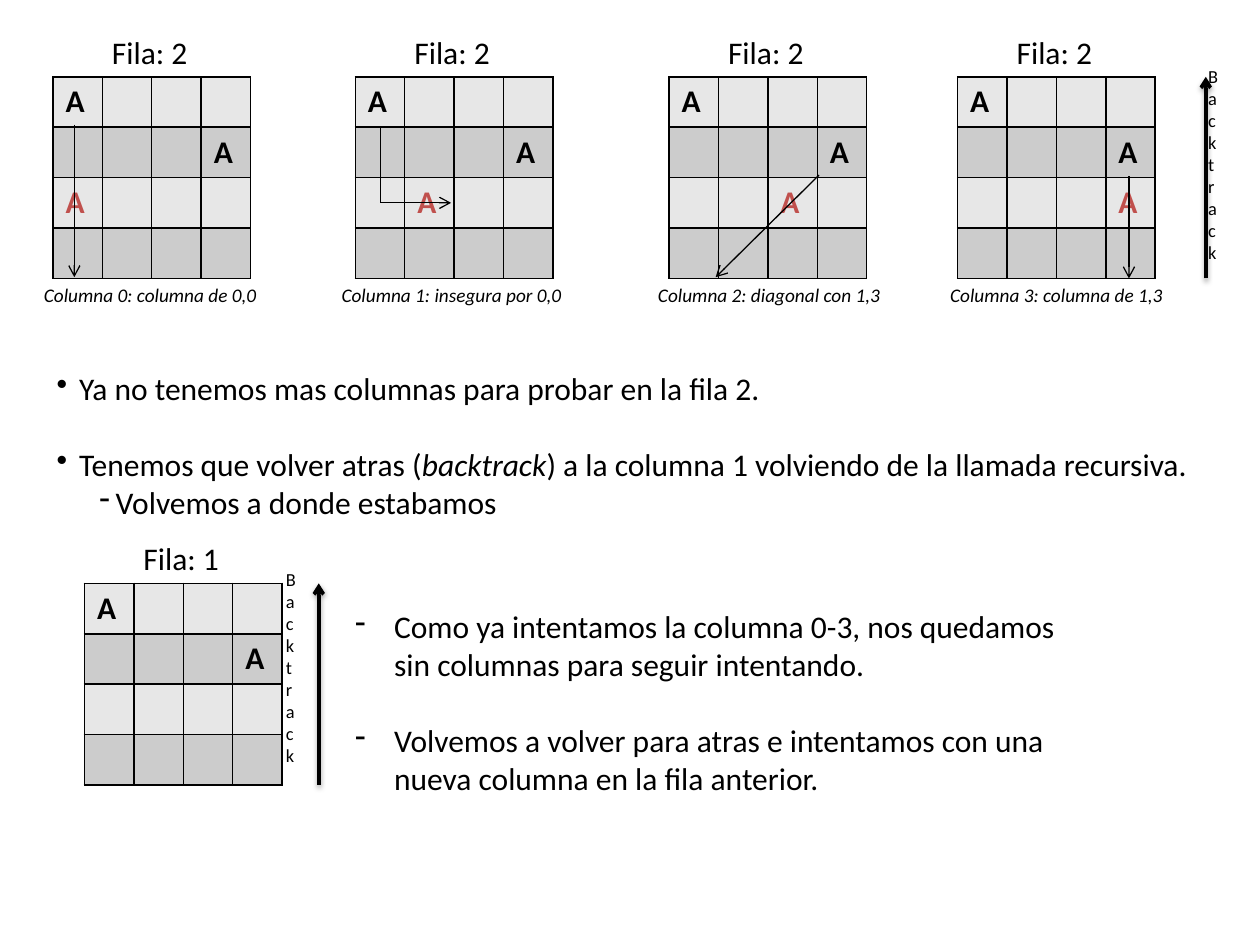
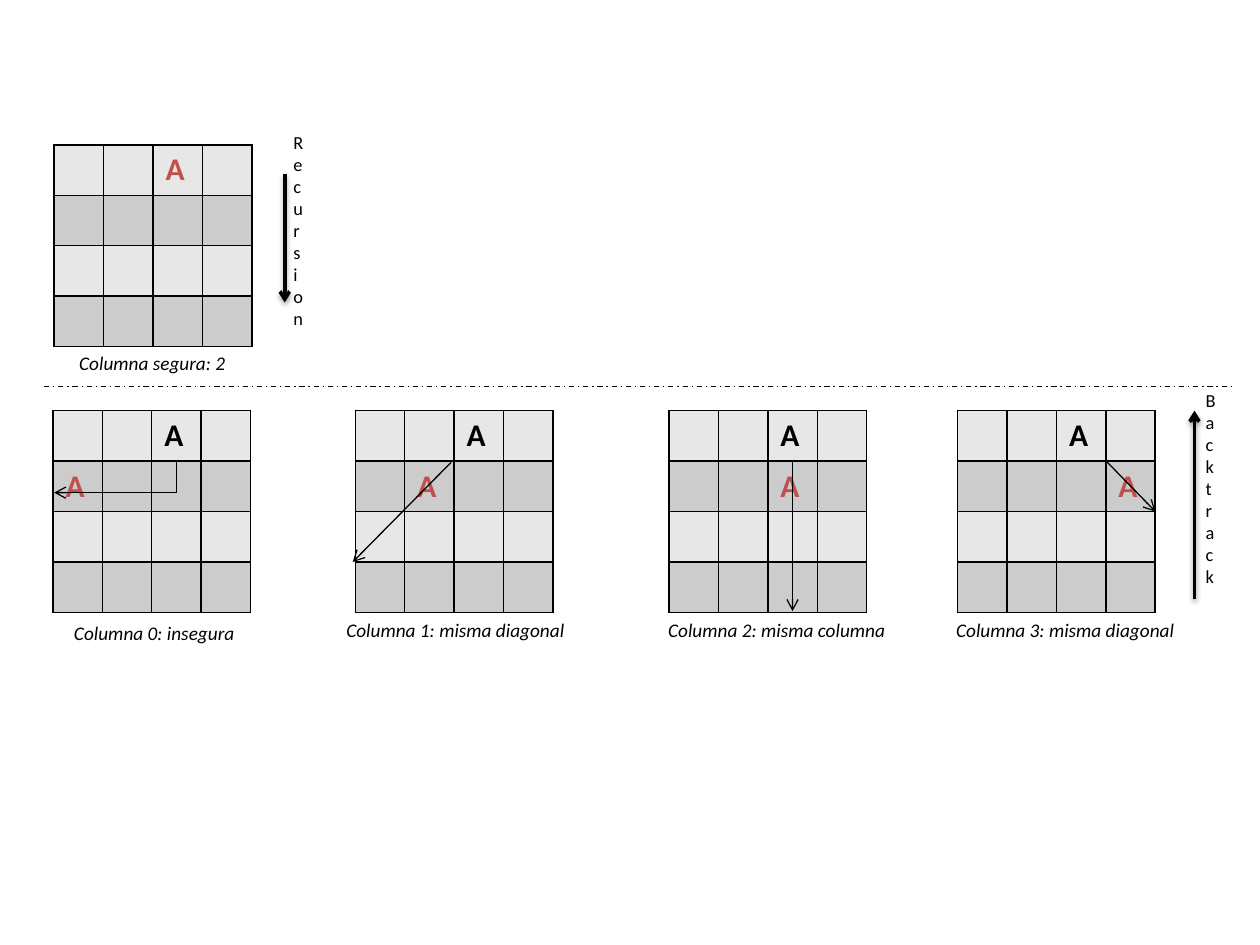
from dataclasses import dataclass
from itertools import pairwise, product

from lxml.etree import SubElement
from pptx import Presentation
from pptx.dml.color import RGBColor
from pptx.enum.dml import MSO_LINE
from pptx.enum.shapes import MSO_CONNECTOR
from pptx.enum.text import MSO_AUTO_SIZE, MSO_ANCHOR, PP_ALIGN
from pptx.oxml import parse_xml
from pptx.oxml.ns import nsdecls, qn
from pptx.util import Inches, Pt

LEFT, CENTER = PP_ALIGN.LEFT, PP_ALIGN.CENTER


@dataclass(frozen=True)
class Theme:
    font: str = "Calibri"
    ink: str = "000000"
    attempt: str = "C0504D"
    bands: tuple = ("E7E7E7", "CCCCCC")
    body: float = 18
    caption: float = 11
    side: float = 10.5
    thin: float = 0.75
    grid: float = 1
    thick: float = 2
    gap: float = 22


THEME = Theme()
BOARD_SIZE = 4
BOARD_WIDTH = 1.57
ROW_HEIGHT = 0.4
BOARD_LEFTS = (0.42, 2.82, 5.31, 7.6)


class Deck:
    def __init__(self, theme):
        self.theme = theme
        self.prs = Presentation()
        self.prs.slide_width, self.prs.slide_height = Inches(10), Inches(7.5)
        self.slide = None

    def new_slide(self):
        self.slide = self.prs.slides.add_slide(self.prs.slide_layouts[6])

    def add_text(self, paragraph, text, size, color=None, bold=False, italic=False):
        run = paragraph.add_run()
        run.text = text
        run.font.name = self.theme.font
        run.font.size = Pt(size)
        run.font.bold, run.font.italic = bold, italic
        run.font.color.rgb = RGBColor.from_string(color or self.theme.ink)

    def box(self, left, top, width, height):
        box = self.slide.shapes.add_textbox(*map(Inches, (left, top, width, height)))
        box.text_frame.word_wrap = True
        box.text_frame.auto_size = MSO_AUTO_SIZE.SHAPE_TO_FIT_TEXT
        return box

    def row_label(self, text, left, top):
        paragraph = self.box(left, top, 1.02, 0.4).text_frame.paragraphs[0]
        self.add_text(paragraph, text, self.theme.body)

    def caption(self, text, left, top, width=2.05, align=CENTER):
        paragraph = self.box(left, top, width, 0.29).text_frame.paragraphs[0]
        paragraph.alignment = align
        self.add_text(paragraph, text, self.theme.caption, italic=True)

    def side_word(self, text, left, top):
        box = self.box(left, top, 0.41, 2.28)
        box.element.txBody.bodyPr.set("vert", "wordArtVert")
        self.add_text(box.text_frame.paragraphs[0], text, self.theme.side)

    def bullets(self, items, left, top, width, height):
        frame = self.box(left, top, width, height).text_frame
        for index, (mark, margin, hang, gap, pieces) in enumerate(items):
            paragraph = frame.add_paragraph() if index else frame.paragraphs[0]
            paragraph.space_before = Pt(self.theme.gap if gap else 0)
            properties = paragraph._p.get_or_add_pPr()
            properties.set("marL", str(Inches(margin)))
            properties.set("indent", str(-Inches(hang)))
            SubElement(properties, qn("a:buChar"), char=mark)
            for text, italic in pieces:
                self.add_text(paragraph, text, self.theme.body, italic=italic)

    def board(self, left, top, queens=(), attempt=None):
        table = self.slide.shapes.add_table(
            BOARD_SIZE, BOARD_SIZE, Inches(left), Inches(top),
            Inches(BOARD_WIDTH), Inches(ROW_HEIGHT * BOARD_SIZE)).table
        table.first_row = table.horz_banding = False
        for column in table.columns:
            column.width = Inches(BOARD_WIDTH / BOARD_SIZE)
        for row in table.rows:
            row.height = Inches(ROW_HEIGHT)
        for square in product(range(BOARD_SIZE), repeat=2):
            cell = table.cell(*square)
            cell.margin_top = cell.margin_bottom = Inches(0.04)
            cell.vertical_anchor = MSO_ANCHOR.MIDDLE
            cell.fill.solid()
            cell.fill.fore_color.rgb = RGBColor.from_string(self.theme.bands[square[0] % 2])
            self.borders(cell)
            if square in queens or square == attempt:
                color = self.theme.attempt if square == attempt else self.theme.ink
                self.add_text(cell.text_frame.paragraphs[0], "A", self.theme.body, color, bold=True)

    def borders(self, cell):
        properties = cell._tc.get_or_add_tcPr()
        for index, side in enumerate("LRTB"):
            properties.insert(index, parse_xml(
                f'<a:ln{side} {nsdecls("a")} w="{Pt(self.theme.grid)}"><a:solidFill>'
                f'<a:srgbClr val="{self.theme.ink}"/></a:solidFill></a:ln{side}>'))

    def line(self, start, end, width=None, head=False, dash=None, shadow=False):
        link = self.slide.shapes.add_connector(
            MSO_CONNECTOR.STRAIGHT, *map(Inches, (*start, *end)))
        link.line.width = Pt(width or self.theme.thin)
        link.line.color.rgb = RGBColor.from_string(self.theme.ink)
        if dash:
            link.line.dash_style = dash
        properties = link.element.spPr
        if head:
            SubElement(properties.find(qn("a:ln")), qn("a:tailEnd"), type="arrow")
        effects = SubElement(properties, qn("a:effectLst"))
        if shadow:
            effects.append(parse_xml(
                f'<a:outerShdw {nsdecls("a")} blurRad="{Pt(3.1)}" dist="{Pt(1.6)}" '
                f'dir="5400000" rotWithShape="0"><a:srgbClr val="{self.theme.ink}">'
                '<a:alpha val="38000"/></a:srgbClr></a:outerShdw>'))

    def attack(self, *points):
        for start, end in pairwise(points):
            self.line(start, end, head=end == points[-1])

    def flow(self, x, start, end):
        self.line((x, start), (x, end), self.theme.thick, head=True, shadow=True)


def backtrack_from_row_two(deck):
    deck.new_slide()
    placed = ((0, 0), (1, 3))
    captions = (
        ("Columna 0: columna de 0,0", 0.25, LEFT),
        ("Columna 1: insegura por 0,0", 2.56, CENTER),
        ("Columna 2: diagonal con 1,3", 5.08, CENTER),
        ("Columna 3: columna de 1,3", 7.36, CENTER),
    )
    for column, (left, (text, caption_left, align)) in enumerate(zip(BOARD_LEFTS, captions)):
        deck.row_label("Fila: 2", left + 0.37, 0.21)
        deck.board(left, 0.61, placed, (2, column))
        deck.caption(text, caption_left, 2.2, align=align)

    deck.bullets((
        ("•", 0.18, 0.18, False,
         [("Ya no tenemos mas columnas para probar en la fila 2.", False)]),
        ("•", 0.18, 0.18, True,
         [("Tenemos que volver atras (", False), ("backtrack", True),
          (") a la columna 1 volviendo de la llamada recursiva.", False)]),
        ("-", 0.47, 0.13, False, [("Volvemos a donde estabamos", False)]),
    ), 0.35, 2.88, 9.21, 1.31)

    deck.row_label("Fila: 1", 1.04, 4.23)
    deck.board(0.67, 4.63, placed)
    deck.bullets((
        ("-", 0.31, 0.31, False,
         [("Como ya intentamos la columna 0-3, nos quedamos sin columnas "
           "para seguir intentando.", False)]),
        ("-", 0.31, 0.31, True,
         [("Volvemos a volver para atras e intentamos con una nueva columna "
           "en la fila anterior.", False)]),
    ), 2.72, 4.77, 5.76, 1.62)

    deck.attack((0.59, 0.99), (0.59, 2.2))
    deck.attack((3.02, 1), (3.02, 1.61), (3.58, 1.61))
    deck.attack((6.5, 1.39), (5.68, 2.2))
    deck.attack((8.96, 1.4), (8.96, 2.21))
    deck.flow(9.57, 2.21, 0.61)
    deck.flow(2.53, 6.23, 4.63)
    deck.side_word("Backtrack", 2.17, 4.46)
    deck.side_word("Backtrack", 9.49, 0.47)


def retry_from_row_zero(deck):
    deck.new_slide()
    deck.board(0.43, 1.15, attempt=(0, 2))
    deck.caption("Columna segura: 2", 0.53, 2.74, 1.42, LEFT)
    deck.flow(2.26, 1.38, 2.4)

    captions = (
        ("Columna 0: insegura", 0.2, 4.88, CENTER),
        ("Columna 1: misma diagonal", 2.65, 4.86, LEFT),
        ("Columna 2: misma columna", 5.14, 4.86, CENTER),
        ("Columna 3: misma diagonal", 7.43, 4.86, CENTER),
    )
    for column, (left, (text, caption_left, top, align)) in enumerate(zip(BOARD_LEFTS, captions)):
        deck.board(left, 3.26, ((0, 2),), (1, column))
        deck.caption(text, caption_left, top, align=align)

    deck.flow(9.48, 4.75, 3.26)
    deck.attack((1.4, 3.67), (1.4, 3.91), (0.43, 3.91))
    deck.attack((3.58, 3.67), (2.8, 4.46))
    deck.attack((6.29, 3.66), (6.29, 4.85))
    deck.attack((8.78, 3.66), (9.17, 4.06))
    deck.side_word("Recursion", 2.23, 0.99)
    deck.side_word("Backtrack", 9.47, 3.04)
    deck.line((0.35, 3.07), (9.8, 3.07), dash=MSO_LINE.DASH_DOT)


def main():
    deck = Deck(THEME)
    backtrack_from_row_two(deck)
    retry_from_row_zero(deck)
    deck.prs.save("out.pptx")


if __name__ == "__main__":
    main()
